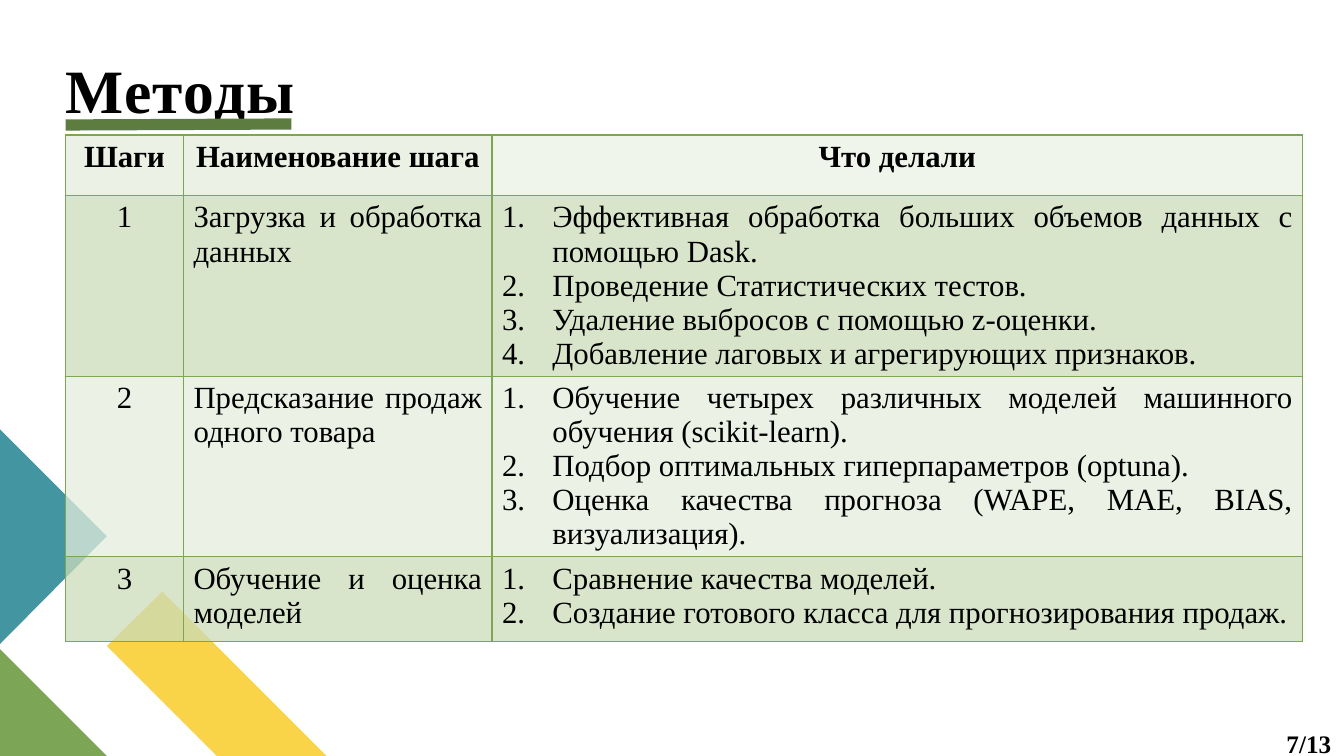
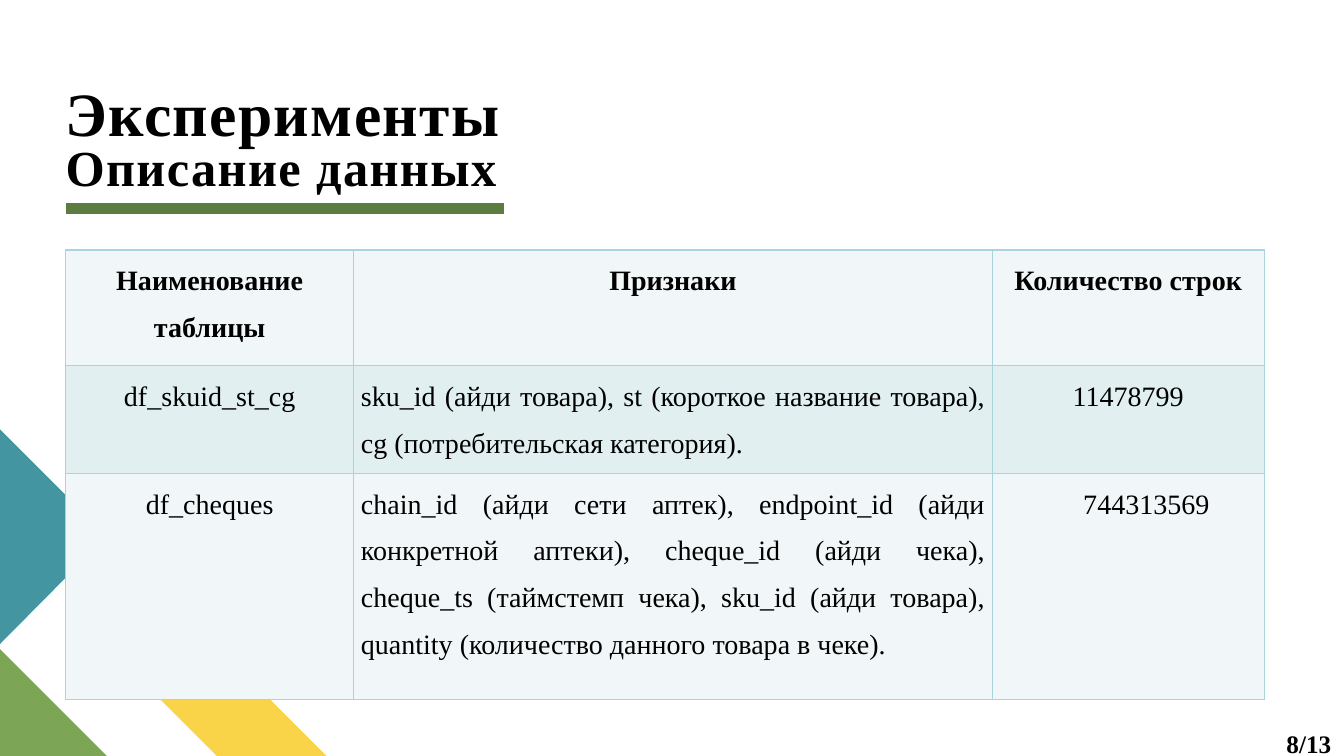
"""Build two slides on forecasting methods and data tables."""
from lxml import etree
from pptx import Presentation
from pptx.dml.color import RGBColor
from pptx.enum.shapes import MSO_CONNECTOR
from pptx.enum.text import MSO_ANCHOR, MSO_AUTO_SIZE, PP_ALIGN
from pptx.oxml.ns import qn
from pptx.util import Inches, Pt

CENTER, JUSTIFY, LEFT = PP_ALIGN.CENTER, PP_ALIGN.JUSTIFY, PP_ALIGN.LEFT
STRAIGHT, BOTTOM, NO_FIT = MSO_CONNECTOR.STRAIGHT, MSO_ANCHOR.BOTTOM, MSO_AUTO_SIZE.NONE

FONT = "Times New Roman"
BLACK = RGBColor(0x00, 0x00, 0x00)
YELLOW = RGBColor(0xF9, 0xD4, 0x48)
GREEN = RGBColor(0x7C, 0xA6, 0x55)
DARK_GREEN = RGBColor(0x5D, 0x7D, 0x40)
TEAL = RGBColor(0x44, 0x95, 0xA2)
GREEN_PALE = RGBColor(0xE5, 0xED, 0xDD)
GREEN_BAND = RGBColor(0xCB, 0xDC, 0xBA)
GREEN_HEAD = RGBColor(0xF0, 0xF5, 0xEC)
BLUE_LINE = RGBColor(0xA9, 0xD4, 0xDB)
BLUE_PALE = RGBColor(0xF1, 0xF7, 0xF8)
BLUE_BAND = RGBColor(0xE2, 0xEF, 0xF1)

LEFT_EDGE = 0.65
PAGE_COUNT = 13
CORNER_SHAPES = [
    (YELLOW, [(3.24, 7.5), (2.15, 7.5), (1.06, 6.41), (1.61, 5.87)]),
    (GREEN, [(1.06, 7.5), (0, 7.5), (0, 6.44)]),
    (TEAL, [(0, 4.26), (1.06, 5.32), (0, 6.39)]),
]

SLIDES = [
    {
        "number": 7,
        "title": [("Методы", 44)],
        "title_box": (LEFT_EDGE, 0.6, 2.37, 0.64),
        "underline": (LEFT_EDGE, 1.24, 2.89, 1.23),
        "table": {
            "top": 1.34,
            "columns": [1.17, 3.06, 8.04],
            "heights": [0.6, 1.79, 1.79, 0.84],
            "aligns": [CENTER, JUSTIFY, JUSTIFY],
            "size": 22,
            "border": GREEN,
            "fills": (GREEN_PALE, GREEN_BAND),
            "opacity": 74,
            "solid_cells": {(0, 2): GREEN_HEAD},
            "margins": (0.1, 0.05),
            "paragraph": {},
            "indents": {},
            "rows": [
                ["Шаги", "Наименование шага", "Что делали"],
                ["1", "Загрузка и обработка данных", [
                    "Эффективная обработка больших объемов данных с помощью Dask.",
                    "Проведение Статистических тестов.",
                    "Удаление выбросов с помощью z-оценки.",
                    "Добавление лаговых и агрегирующих признаков.",
                ]],
                ["2", "Предсказание продаж одного товара", [
                    "Обучение четырех различных моделей машинного обучения (scikit-learn).",
                    "Подбор оптимальных гиперпараметров (optuna).",
                    "Оценка качества прогноза (WAPE, MAE, BIAS, визуализация).",
                ]],
                ["3", "Обучение и оценка моделей", [
                    "Сравнение качества моделей.",
                    "Создание готового класса для прогнозирования продаж.",
                ]],
            ],
        },
    },
    {
        "number": 8,
        "title": [("Эксперименты", 44), ("Описание данных", 36)],
        "title_box": (LEFT_EDGE, 0.11, 11.89, 1.84),
        "underline": (LEFT_EDGE, 2.07, 5, 2.07),
        "table": {
            "top": 2.48,
            "columns": [2.86, 6.33, 2.7],
            "heights": [1.15, 1.07, 2.24],
            "aligns": [CENTER, JUSTIFY, CENTER],
            "size": 20,
            "border": BLUE_LINE,
            "fills": (BLUE_PALE, BLUE_BAND),
            "opacity": 100,
            "solid_cells": {},
            "margins": (0.07, 0),
            "paragraph": {"line_spacing": 1.5, "space_after": Pt(10)},
            "indents": {(2, 2): 0.36},
            "rows": [
                ["Наименование таблицы", "Признаки", "Количество строк"],
                ["df_skuid_st_cg",
                 "sku_id (айди товара), st (короткое название товара), "
                 "cg (потребительская категория).",
                 "11478799"],
                ["df_cheques",
                 "chain_id (айди сети аптек), endpoint_id (айди конкретной аптеки), "
                 "cheque_id (айди чека), cheque_ts (таймстемп чека), sku_id (айди товара), "
                 "quantity (количество данного товара в чеке).",
                 "744313569"],
            ],
        },
    },
]


def apply(target, values):
    for name, value in values.items():
        setattr(target, name, value)


def add_span(para, text, size, bold=True):
    span = para.add_run()
    span.text = text
    apply(span.font, {"name": FONT, "size": Pt(size), "bold": bold})
    span.font.color.rgb = BLACK
    return span


def clear_margins(frame):
    apply(frame, dict.fromkeys(
        ("margin_left", "margin_top", "margin_right", "margin_bottom"), 0))


def add_corner(page):
    for color, points in CORNER_SHAPES:
        start, *others = [(Inches(x), Inches(y)) for x, y in points]
        builder = page.shapes.build_freeform(*start, scale=1.0)
        builder.add_line_segments(others, close=True)
        shape = builder.convert_to_shape()
        shape.shadow.inherit = False
        shape.fill.solid()
        shape.fill.fore_color.rgb = color
        shape.line.fill.background()


def add_title(page, lines, box):
    title = page.shapes.title
    apply(title, dict(zip(("left", "top", "width", "height"), map(Inches, box))))
    frame = title.text_frame
    clear_margins(frame)
    apply(frame, {"vertical_anchor": BOTTOM, "word_wrap": True, "auto_size": NO_FIT})
    para = frame.paragraphs[0]
    apply(para, {"alignment": LEFT, "line_spacing": 0.8})
    for index, (text, size) in enumerate(lines):
        if index:
            para.add_line_break()
        span = add_span(para, text, size)
        span.font._element.set("spc", "100")


def add_underline(page, ends):
    line = page.shapes.add_connector(STRAIGHT, *map(Inches, ends))
    line.line.color.rgb = DARK_GREEN
    line.line.width = Pt(8)
    etree.SubElement(line._element.spPr, qn("a:effectLst"))


def add_page_number(page, number):
    box = page.shapes.add_textbox(*map(Inches, (12.76, 7.23, 0.57, 0.27)))
    clear_margins(box.text_frame)
    box.text_frame.word_wrap = True
    add_span(box.text_frame.paragraphs[0], f"{number}/{PAGE_COUNT}", 18)


def style_cell(cell, border, fill, opacity):
    properties = cell._tc.get_or_add_tcPr()
    for side in ("lnL", "lnR", "lnT", "lnB"):
        edge = etree.SubElement(properties, qn(f"a:{side}"), w=str(Pt(1)))
        paint = etree.SubElement(edge, qn("a:solidFill"))
        etree.SubElement(paint, qn("a:srgbClr"), val=str(border))
    cell.fill.solid()
    cell.fill.fore_color.rgb = fill
    if opacity < 100:
        color = properties.find(qn("a:solidFill")).find(qn("a:srgbClr"))
        etree.SubElement(color, qn("a:alpha"), val=str(opacity * 1000))


def indent(para, left, hanging=0):
    properties = para._p.get_or_add_pPr()
    properties.set("marL", str(Inches(left)))
    properties.set("indent", str(Inches(-hanging)))
    return properties


def fill_cell(cell, content, table, align, bold, left):
    numbered = isinstance(content, list)
    for index, text in enumerate(content if numbered else [content]):
        frame = cell.text_frame
        para = frame.add_paragraph() if index else frame.paragraphs[0]
        apply(para, {"alignment": align, **table["paragraph"]})
        if numbered:
            properties = indent(para, 0.5, 0.5)
            etree.SubElement(properties, qn("a:buFont"), typeface=FONT)
            etree.SubElement(properties, qn("a:buAutoNum"), type="arabicPeriod")
        elif left:
            indent(para, left)
        add_span(para, text, table["size"], bold)


def add_data_table(page, table):
    rows, columns, heights = table["rows"], table["columns"], table["heights"]
    area = (LEFT_EDGE, table["top"], sum(columns), sum(heights))
    grid = page.shapes.add_table(len(rows), len(columns), *map(Inches, area)).table
    grid.horz_banding = False
    for column, width in zip(grid.columns, columns):
        column.width = Inches(width)
    side, edge = map(Inches, table["margins"])
    for r, (row, height) in enumerate(zip(rows, heights)):
        grid.rows[r].height = Inches(height)
        for c, content in enumerate(row):
            cell = grid.cell(r, c)
            apply(cell, {"margin_left": side, "margin_right": side,
                         "margin_top": edge, "margin_bottom": edge})
            solid = table["solid_cells"].get((r, c))
            style_cell(cell, table["border"], solid or table["fills"][r % 2],
                       100 if solid else table["opacity"])
            fill_cell(cell, content, table, table["aligns"][c] if r else CENTER,
                      r == 0, table["indents"].get((r, c), 0))


def main():
    deck = Presentation()
    deck.slide_width, deck.slide_height = Inches(13.33), Inches(7.5)
    for content in SLIDES:
        page = deck.slides.add_slide(deck.slide_layouts[5])
        add_corner(page)
        add_title(page, content["title"], content["title_box"])
        add_data_table(page, content["table"])
        add_underline(page, content["underline"])
        add_page_number(page, content["number"])
    deck.save("out.pptx")


if __name__ == "__main__":
    main()
